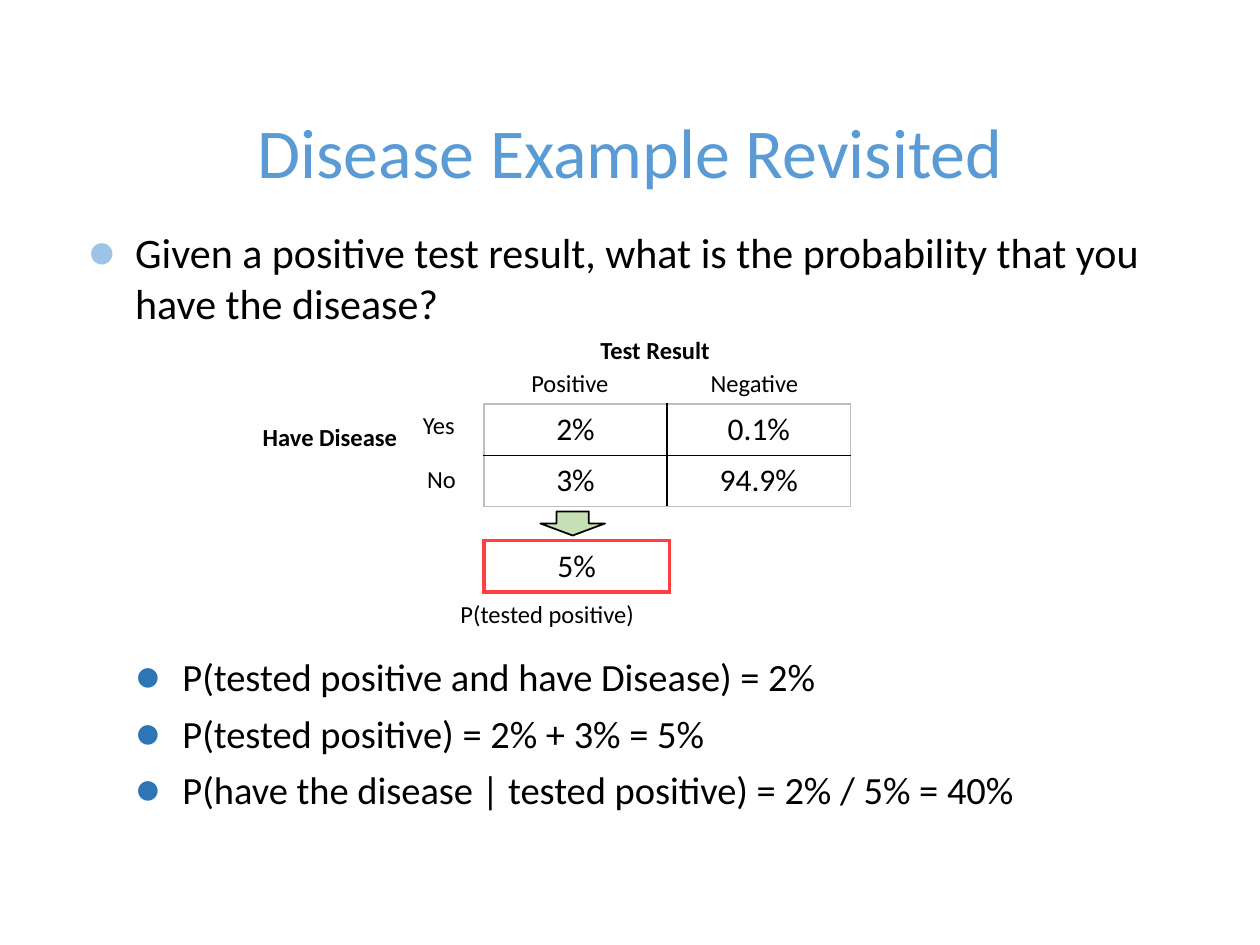
import pptx
import pptx.util
import pptx.dml.color
import pptx.enum.shapes
import pptx.enum.text
import pptx.oxml
import pptx.oxml.ns

Pt = pptx.util.Pt
RGBColor = pptx.dml.color.RGBColor
ALIGN = pptx.enum.text.PP_ALIGN
ANCHOR = pptx.enum.text.MSO_ANCHOR

BLACK = RGBColor(0x00, 0x00, 0x00)
WHITE = RGBColor(0xFF, 0xFF, 0xFF)
TITLE_BLUE = RGBColor(0x5B, 0x9B, 0xD5)
LIGHT_BLUE = RGBColor(0x9D, 0xC3, 0xE6)
DARK_BLUE = RGBColor(0x2E, 0x75, 0xB6)
GREY = RGBColor(0xBF, 0xBF, 0xBF)
RED = RGBColor(0xFF, 0x40, 0x40)
GREEN = RGBColor(0xC5, 0xE0, 0xB4)

QUESTION = {"size": 24, "before": 0, "indent": 27, "hanging": 27, "bullet": LIGHT_BLUE}
RESULT = {"size": 22, "before": 6, "indent": 54, "hanging": 27, "bullet": DARK_BLUE}
FIRST_RESULT = {**RESULT, "before": 186}

BODY = [
    ("Given a positive test result, what is the probability that you have the disease?", QUESTION),
    ("P(tested positive and have Disease) = 2%", FIRST_RESULT),
    ("P(tested positive) = 2% + 3% = 5%", RESULT),
    ("P(have the disease | tested positive) = 2% / 5% = 40%", RESULT),
]

LABELS = [
    ("Test Result", 193, 0, 78, True),
    ("Positive", 153.5, 18.5, 59, False),
    ("Negative", 256, 18.5, 65.5, False),
    ("Have Disease", 0, 49.5, 97, True),
    ("Yes", 91.5, 43, 37, False),
    ("No", 94, 73.5, 33, False),
    ("P(tested positive)", 113, 150.5, 132, False),
]

ROW_HEIGHT = 29.25


def write_text(para, text, size, color=BLACK, bold=False):
    span = para.add_run()
    span.text = text
    style = {"name": "Calibri", "size": Pt(size), "bold": bold}
    for name, value in style.items():
        setattr(span.font, name, value)
    span.font.color.rgb = color


def add_bullet(para, style):
    props = para._p.get_or_add_pPr()
    props.set("marL", str(Pt(style["indent"])))
    props.set("indent", str(-Pt(style["hanging"])))
    namespace = pptx.oxml.ns.nsdecls("a")
    for xml in (
        f'<a:buClr {namespace}><a:srgbClr val="{style["bullet"]}"/></a:buClr>',
        f'<a:buSzPct {namespace} val="110000"/>',
        f'<a:buFont {namespace} typeface="Calibri"/>',
        f'<a:buChar {namespace} char="●"/>',
    ):
        props.append(pptx.oxml.parse_xml(xml))


def set_border(cell, side, color, width):
    cell._tc.get_or_add_tcPr().append(pptx.oxml.parse_xml(
        f'<a:{side} {pptx.oxml.ns.nsdecls("a")} w="{Pt(width)}">'
        f'<a:solidFill><a:srgbClr val="{color}"/></a:solidFill></a:{side}>'
    ))


def add_title(page, text, left, top, width, height):
    title = page.shapes.title
    place = {"left": left, "top": top, "width": width, "height": height}
    for name, value in place.items():
        setattr(title, name, Pt(value))
    title.text_frame.vertical_anchor = ANCHOR.BOTTOM
    para = title.text_frame.paragraphs[0]
    para.alignment = ALIGN.CENTER
    write_text(para, text, 40, TITLE_BLUE)


def add_body(page, left, top, width, height):
    box = page.shapes.add_textbox(Pt(left), Pt(top), Pt(width), Pt(height))
    frame = box.text_frame
    frame.word_wrap = True
    for index, (text, style) in enumerate(BODY):
        para = frame.add_paragraph() if index else frame.paragraphs[0]
        para.space_before = Pt(style["before"])
        add_bullet(para, style)
        write_text(para, text, style["size"])


def add_grid(page, rows, left, top, column_width, outer, inner, line_width):
    height, width = len(rows), len(rows[0])
    frame = page.shapes.add_table(
        height, width, Pt(left), Pt(top), Pt(column_width * width), Pt(ROW_HEIGHT * height))
    table = frame.table
    table.first_row = table.horz_banding = False
    for column in table.columns:
        column.width = Pt(column_width)
    for r, values in enumerate(rows):
        table.rows[r].height = Pt(ROW_HEIGHT)
        for c, text in enumerate(values):
            cell = table.cell(r, c)
            edges = {"lnL": c == 0, "lnR": c == width - 1,
                     "lnT": r == 0, "lnB": r == height - 1}
            for side, is_outer in edges.items():
                set_border(cell, side, outer if is_outer else inner, line_width)
            cell.fill.solid()
            cell.fill.fore_color.rgb = WHITE
            para = cell.text_frame.paragraphs[0]
            para.alignment = ALIGN.CENTER
            write_text(para, text, 18)


def add_label(page, text, left, top, width, bold):
    box = page.shapes.add_textbox(Pt(left), Pt(top), Pt(width), Pt(24.25))
    frame = box.text_frame
    frame.word_wrap = False
    frame.auto_size = pptx.enum.text.MSO_AUTO_SIZE.SHAPE_TO_FIT_TEXT
    write_text(frame.paragraphs[0], text, 14, bold=bold)


def add_diagram(page, left, top):
    grid_left = left + 133.5
    add_grid(page, [["2%", "0.1%"], ["3%", "94.9%"]],
             grid_left, top + 43, 104.75, GREY, BLACK, 1)
    add_grid(page, [["5%"]], grid_left, top + 121, 106, RED, RED, 2.25)
    for text, x, y, width, bold in LABELS:
        add_label(page, text, left + x, top + y, width, bold)
    arrow = page.shapes.add_shape(
        pptx.enum.shapes.MSO_SHAPE.DOWN_ARROW,
        Pt(left + 165.75), Pt(top + 104.25), Pt(37), Pt(13.75))
    arrow.shadow.inherit = False
    arrow.fill.solid()
    arrow.fill.fore_color.rgb = GREEN
    arrow.line.color.rgb = BLACK
    arrow.line.width = Pt(1)


def main():
    deck = pptx.Presentation()
    deck.slide_width, deck.slide_height = Pt(720), Pt(540)
    page = deck.slides.add_slide(deck.slide_layouts[5])
    add_title(page, "Disease Example Revisited", 43.2, 8.6, 633.6, 105)
    add_body(page, 43.2, 126, 633.6, 342)
    add_diagram(page, 143, 188)
    deck.save("out.pptx")


if __name__ == "__main__":
    main()
